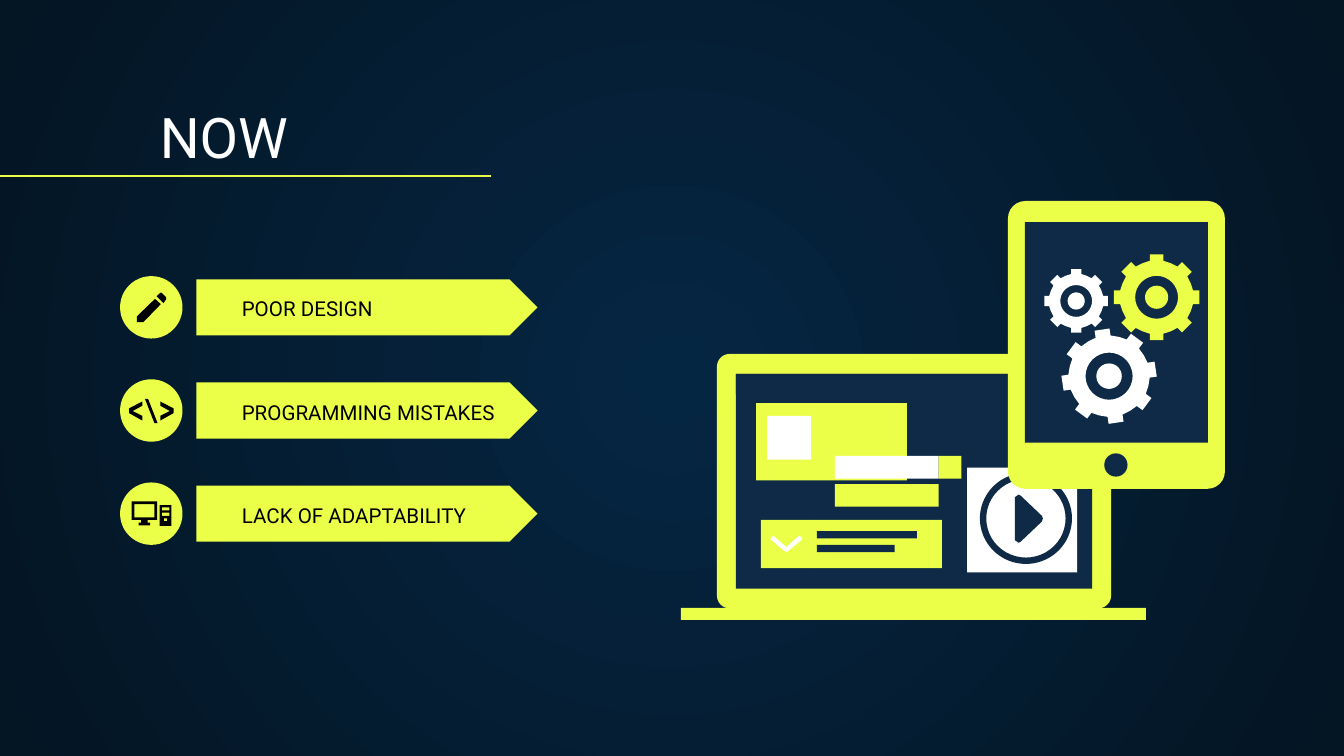
from math import cos, sin, tau

from lxml import etree
from pptx import Presentation
from pptx.dml.color import RGBColor
from pptx.enum import shapes, text
from pptx.oxml.ns import qn
from pptx.util import Cm, Pt

LIME = RGBColor(0xEC, 0xFF, 0x48)
NAVY = RGBColor(0x0E, 0x2A, 0x47)
GLOW = RGBColor(0x05, 0x26, 0x43)
DUSK = RGBColor(0x04, 0x15, 0x23)
WHITE = RGBColor(255, 255, 255)
BLACK = RGBColor(0, 0, 0)
KIND = shapes.MSO_SHAPE


def write(holder, words, box, size, color, font="Roboto"):
    """Place a placeholder at box and fill it with one plain, unbulleted line."""
    holder.left, holder.top, holder.width, holder.height = map(Cm, box)
    frame = holder.text_frame
    frame.auto_size = text.MSO_AUTO_SIZE.NONE
    frame.word_wrap = True
    frame.vertical_anchor = text.MSO_ANCHOR.BOTTOM
    frame.margin_left = frame.margin_right = Cm(0.25)
    frame.margin_top = frame.margin_bottom = Cm(0.25)
    line = frame.paragraphs[0]
    line.alignment = text.PP_ALIGN.LEFT
    line.space_before = Pt(0)
    properties = line._p.get_or_add_pPr()
    properties.set("marL", "0")
    properties.set("indent", "0")
    etree.SubElement(properties, qn("a:buNone"))
    run = line.add_run()
    run.text = words
    run.font.name, run.font.size, run.font.bold = font, Pt(size), False
    run.font.color.rgb = color


def paint(shape, color):
    shape.shadow.inherit = False
    shape.fill.solid()
    shape.fill.fore_color.rgb = color
    shape.line.fill.background()
    return shape


deck = Presentation()
deck.slide_width, deck.slide_height = Cm(25.4), Cm(14.29)
slide = deck.slides.add_slide(deck.slide_layouts.get_by_name("Comparison"))
canvas = slide.shapes

# Radial background
backdrop = slide.background.fill
backdrop.gradient()
for stop, color in zip(backdrop.gradient_stops, (GLOW, DUSK)):
    stop.color.rgb = color
gradient = slide.element.find(".//" + qn("a:gradFill"))
gradient.remove(gradient.find(qn("a:lin")))
radial = etree.SubElement(gradient, qn("a:path"), path="circle")
etree.SubElement(radial, qn("a:fillToRect"), l="50000", t="50000", r="50000", b="50000")

# Heading and its rule
heading, *labels, spare = slide.placeholders
spare.element.getparent().remove(spare.element)
write(heading, "NOW", (2.77, 1.78, 21.77, 1.68), size=30, color=WHITE)
rule = canvas.add_connector(shapes.MSO_CONNECTOR.STRAIGHT, 0, Cm(3.33), Cm(9.27), Cm(3.33))
rule.line.color.rgb = LIME
rule.line.width = Pt(0.75)
etree.SubElement(rule._element.spPr, qn("a:effectLst"))

# Three problems: arrow behind its label, disc for its icon
problems = ["POOR DESIGN", "PROGRAMMING MISTAKES", "LACK OF ADAPTABILITY"]
for row, (label, problem) in enumerate(zip(labels, problems)):
    down = 1.95 * row
    arrow = paint(canvas.add_shape(KIND.PENTAGON, Cm(3.71), Cm(5.28 + down), Cm(6.45), Cm(1.06)), LIME)
    heading.element.addprevious(arrow.element)
    write(label, problem, (4.32, 5.79 + down, 5.77, 0.53), size=11, color=BLACK)
    paint(canvas.add_shape(KIND.OVAL, Cm(2.27), Cm(5.22 + down), Cm(1.18), Cm(1.18)), LIME)

# Laptop, page blocks and tablet: kind, left, top, width, height, colour, adjustment
devices = [
    (KIND.ROUNDED_RECTANGLE, 13.55, 6.69, 7.45, 4.81, LIME, 0.05),
    (KIND.RECTANGLE, 13.91, 7.07, 6.73, 4.06, NAVY, None),
    (KIND.RECTANGLE, 12.87, 11.49, 8.79, 0.23, LIME, None),
    (KIND.RECTANGLE, 13.91, 7.07, 6.73, 0.38, NAVY, None),
    (KIND.RECTANGLE, 14.29, 7.62, 2.85, 1.46, LIME, None),
    (KIND.RECTANGLE, 14.5, 7.86, 0.83, 0.83, WHITE, None),
    (KIND.RECTANGLE, 15.29, 9.83, 2.51, 0.91, LIME, None),
    (KIND.RECTANGLE, 15.44, 10.04, 1.89, 0.14, NAVY, None),
    (KIND.RECTANGLE, 15.44, 10.3, 1.47, 0.14, NAVY, None),
    (KIND.RECTANGLE, 14.38, 9.83, 0.91, 0.91, LIME, None),
    (KIND.RECTANGLE, 15.78, 9.15, 1.96, 0.43, LIME, None),
    (KIND.RECTANGLE, 15.78, 8.62, 1.96, 0.43, WHITE, None),
    (KIND.RECTANGLE, 17.74, 8.62, 0.43, 0.43, LIME, None),
    (KIND.RECTANGLE, 18.28, 8.84, 2.08, 1.98, WHITE, None),
    (KIND.DONUT, 18.52, 8.94, 1.74, 1.72, NAVY, 0.07),
    (KIND.ROUNDED_RECTANGLE, 19.05, 3.8, 4.1, 5.44, LIME, 0.08),
    (KIND.RECTANGLE, 19.37, 4.2, 3.46, 4.17, NAVY, None),
    (KIND.OVAL, 20.87, 8.57, 0.44, 0.44, NAVY, None),
]
for kind, left, top, width, height, color, adjustment in devices:
    part = paint(canvas.add_shape(kind, Cm(left), Cm(top), Cm(width), Cm(height)), color)
    if adjustment:
        part.adjustments[0] = adjustment

# Outlines: colour and closed contours, inner contours cut holes
bracket = [(2.69, 7.95), (2.44, 7.81), (2.44, 7.72), (2.69, 7.59),
           (2.69, 7.67), (2.51, 7.77), (2.69, 7.86)]
pencil_tip = [(3.04, 5.53), (2.96, 5.6), (3.09, 5.73), (3.14, 5.66), (3.14, 5.62), (3.05, 5.53)]
pencil_body = [(2.93, 5.65), (2.59, 5.98), (2.59, 6.09), (2.71, 6.09), (3.04, 5.75)]
slash = [(2.92, 8), (2.74, 7.54), (2.8, 7.54), (2.98, 8)]
monitor = [(2.49, 9.48), (2.97, 9.48), (2.97, 9.83), (2.79, 9.83), (2.79, 9.88), (2.84, 9.88),
           (2.84, 9.93), (2.62, 9.93), (2.62, 9.88), (2.67, 9.88), (2.67, 9.83), (2.49, 9.83)]
screen, tower, drive, slot, power = [
    [(left, top), (right, top), (right, bottom), (left, bottom)]
    for left, top, right, bottom in [
        (2.54, 9.53, 2.92, 9.78), (3.02, 9.55, 3.24, 9.94), (3.06, 9.59, 3.2, 9.65),
        (3.06, 9.69, 3.2, 9.75), (3.1, 9.8, 3.16, 9.85)]]
chevron = [(14.57, 10.16), (14.62, 10.13), (14.86, 10.34), (15.1, 10.13), (15.16, 10.16),
           (15.16, 10.2), (14.88, 10.43), (14.84, 10.43), (14.57, 10.2)]
play = [(19.18, 9.4), (19.25, 9.35), (19.29, 9.37), (19.69, 9.75), (19.71, 9.8),
        (19.69, 9.86), (19.29, 10.24), (19.25, 10.26), (19.18, 10.21)]
outlines = [
    (BLACK, [pencil_tip, pencil_body]),
    (BLACK, [bracket]),
    (BLACK, [slash]),
    (BLACK, [[(5.72 - x, y) for x, y in bracket]]),
    (BLACK, [monitor, screen]),
    (BLACK, [tower, drive, slot, power]),
    (WHITE, [chevron]),
    (NAVY, [play]),
]

# Gears: eight teeth, a ring-shaped hole and a hub, all in units of the radius
TEETH = 8
tooth = [complex(0.85, -0.16), complex(1, -0.16), complex(1, 0.16), complex(0.85, 0.16),
         0.86 * complex(cos(tau / 16), sin(tau / 16))]
circle = [complex(cos(tau * i / 32), sin(tau * i / 32)) for i in range(32)]
for x, y, radius, tilt, color in [(21.86, 5.62, 0.81, 0, LIME),
                                  (20.34, 5.69, 0.6, 0, WHITE),
                                  (20.96, 7.11, 0.89, -0.15, WHITE)]:
    turns = [tilt + tau * i / TEETH for i in range(TEETH)]
    rim = [point * complex(cos(turn), sin(turn)) for turn in turns for point in tooth]
    rings = [rim, [0.5 * point for point in circle], [0.27 * point for point in circle]]
    outlines.append((color, [[(x + radius * p.real, y + radius * p.imag) for p in ring]
                             for ring in rings]))

for color, contours in outlines:
    contours = [[(Cm(x), Cm(y)) for x, y in contour] for contour in contours]
    pen = canvas.build_freeform(*contours[0][0])
    for contour in contours:
        if contour is not contours[0]:
            pen.move_to(*contour[0])
        pen.add_line_segments(contour[1:], close=True)
    paint(pen.convert_to_shape(), color)

deck.save("out.pptx")
